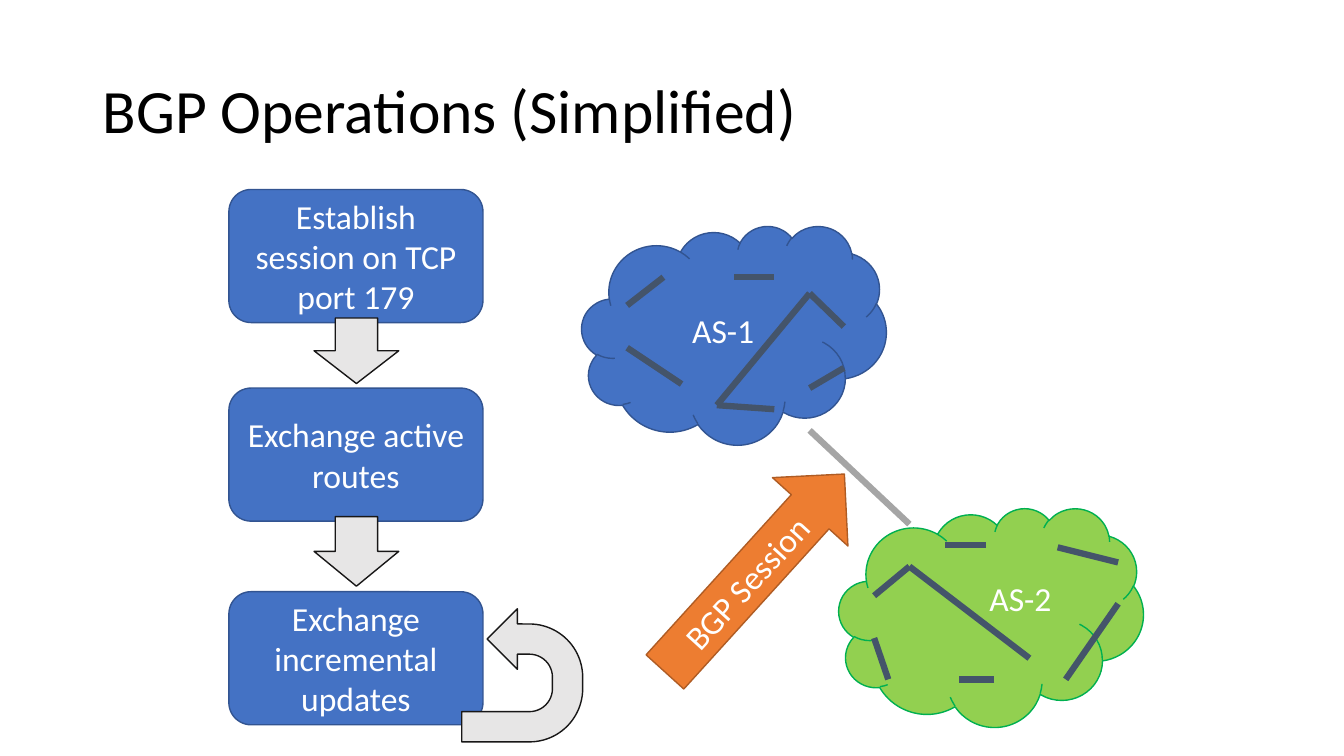
from lxml import etree
from pptx import Presentation
from pptx.dml.color import RGBColor
from pptx.enum.shapes import MSO_CONNECTOR, MSO_SHAPE as Shape
from pptx.enum.text import MSO_ANCHOR as Anchor, MSO_AUTO_SIZE as AutoSize, PP_ALIGN as Align
from pptx.oxml.ns import qn
from pptx.util import Inches, Pt

BLACK = RGBColor(0x00, 0x00, 0x00)
WHITE = RGBColor(0xFF, 0xFF, 0xFF)
BLUE = RGBColor(0x44, 0x72, 0xC4)
DARK_BLUE = RGBColor(0x32, 0x54, 0x91)
LIGHT_GRAY = RGBColor(0xE7, 0xE6, 0xE6)
NEAR_BLACK = RGBColor(0x18, 0x17, 0x17)
LIME = RGBColor(0x92, 0xD0, 0x50)
GREEN = RGBColor(0x00, 0xB0, 0x50)
ORANGE = RGBColor(0xED, 0x7D, 0x31)
BROWN = RGBColor(0xAF, 0x5C, 0x24)
GRAY = RGBColor(0xA5, 0xA5, 0xA5)
SLATE = RGBColor(0x44, 0x54, 0x6A)

STEPS = [
    (1.88, "Establish session on TCP port 179"),
    (3.85, "Exchange active routes"),
    (5.87, "Exchange incremental updates"),
]
STEP_ARROWS = [(3.21, 3.06, 0.65, 0.84), (3.19, 5.05, 0.69, 0.84)]
AS1_LINKS = [
    (8.37, 3.24, 8.03, 2.91),
    (7.28, 2.75, 7.68, 2.75),
    (7.11, 4.02, 8.03, 2.91),
    (8.03, 3.85, 8.37, 3.65),
    (7.11, 4.02, 7.68, 4.06),
    (6.22, 3.03, 6.58, 2.75),
    (6.76, 3.81, 6.22, 3.45),
]
AS2_LINKS = [
    (9.02, 5.62, 8.67, 5.91),
    (9.78, 5.41, 9.37, 5.41),
    (10.49, 5.43, 11.09, 5.58),
    (8.81, 6.74, 8.67, 6.33),
    (9.86, 6.74, 9.51, 6.74),
    (11.09, 5.99, 10.57, 6.74),
    (10.21, 6.53, 9.02, 5.62),
]


def write(frame, text, size=24, color=WHITE, align=Align.CENTER, anchor=Anchor.MIDDLE, spacing=None):
    """Fill a text frame with one formatted paragraph."""
    frame.vertical_anchor = anchor
    para = frame.paragraphs[0]
    para.alignment = align
    para.line_spacing = spacing
    span = para.add_run()
    span.text = text
    span.font.name = "Calibri"
    span.font.size = Pt(size)
    span.font.color.rgb = color


class SlideBuilder:
    def __init__(self, slide):
        self.slide = slide
        self.outline = Pt(1)
        self.link_width = Pt(4.5)

    def title(self, text, area):
        title = self.slide.shapes.title
        title.left, title.top, title.width, title.height = map(Inches, area)
        title.text_frame.auto_size = AutoSize.NONE
        write(title.text_frame, text, size=44, color=BLACK, align=Align.LEFT, spacing=0.9)

    def shape(self, kind, area, fill, line, text=None, rotation=0):
        shape = self.slide.shapes.add_shape(kind, *map(Inches, area))
        shape.shadow.inherit = False
        shape.fill.solid()
        shape.fill.fore_color.rgb = fill
        shape.line.color.rgb = line
        shape.line.width = self.outline
        shape.rotation = rotation
        if text:
            write(shape.text_frame, text)
        return shape

    def link(self, ends, color=SLATE):
        link = self.slide.shapes.add_connector(MSO_CONNECTOR.STRAIGHT, *map(Inches, ends))
        link.line.color.rgb = color
        link.line.width = self.link_width
        etree.SubElement(link.element.spPr, qn("a:effectLst"))

    def label(self, text, area):
        box = self.slide.shapes.add_textbox(*map(Inches, area))
        box.text_frame.word_wrap = False
        box.text_frame.auto_size = AutoSize.SHAPE_TO_FIT_TEXT
        write(box.text_frame, text, anchor=Anchor.TOP)


def main():
    deck = Presentation()
    deck.slide_width, deck.slide_height = Inches(13.33), Inches(7.5)
    page = SlideBuilder(deck.slides.add_slide(deck.slide_layouts.get_by_name("Title Only")))
    page.title("BGP Operations (Simplified)", (0.92, 0.4, 11.5, 1.45))

    for top, text in STEPS:
        page.shape(Shape.ROUNDED_RECTANGLE, (2.27, top, 2.52, 1.32), BLUE, DARK_BLUE, text)
    for area in STEP_ARROWS:
        page.shape(Shape.RIGHT_ARROW, area, LIGHT_GRAY, NEAR_BLACK, rotation=90)
    repeat = page.shape(Shape.U_TURN_ARROW, (4.52, 6.1, 1.32, 1.2), LIGHT_GRAY, NEAR_BLACK, rotation=90)
    repeat.element.spPr.xfrm.set("flipH", "1")
    for index, value in enumerate((0.25, 0.25, 0.25, 0.44, 0.79)):
        repeat.adjustments[index] = value

    page.shape(Shape.CLOUD, (5.77, 2.24, 3.02, 2.17), BLUE, DARK_BLUE, "AS-1")
    page.shape(Shape.CLOUD, (8.32, 5.04, 3.02, 2.17), LIME, GREEN)
    page.link((9.02, 5.2, 8.03, 4.27), GRAY)
    for ends in AS1_LINKS + AS2_LINKS:
        page.link(ends)
    page.label("AS-2", (9.71, 5.68, 0.82, 0.5))
    page.shape(Shape.RIGHT_ARROW, (6.16, 5.18, 2.65, 1.01), ORANGE, BROWN, "BGP Session", rotation=312.2)

    deck.save("out.pptx")


if __name__ == "__main__":
    main()
